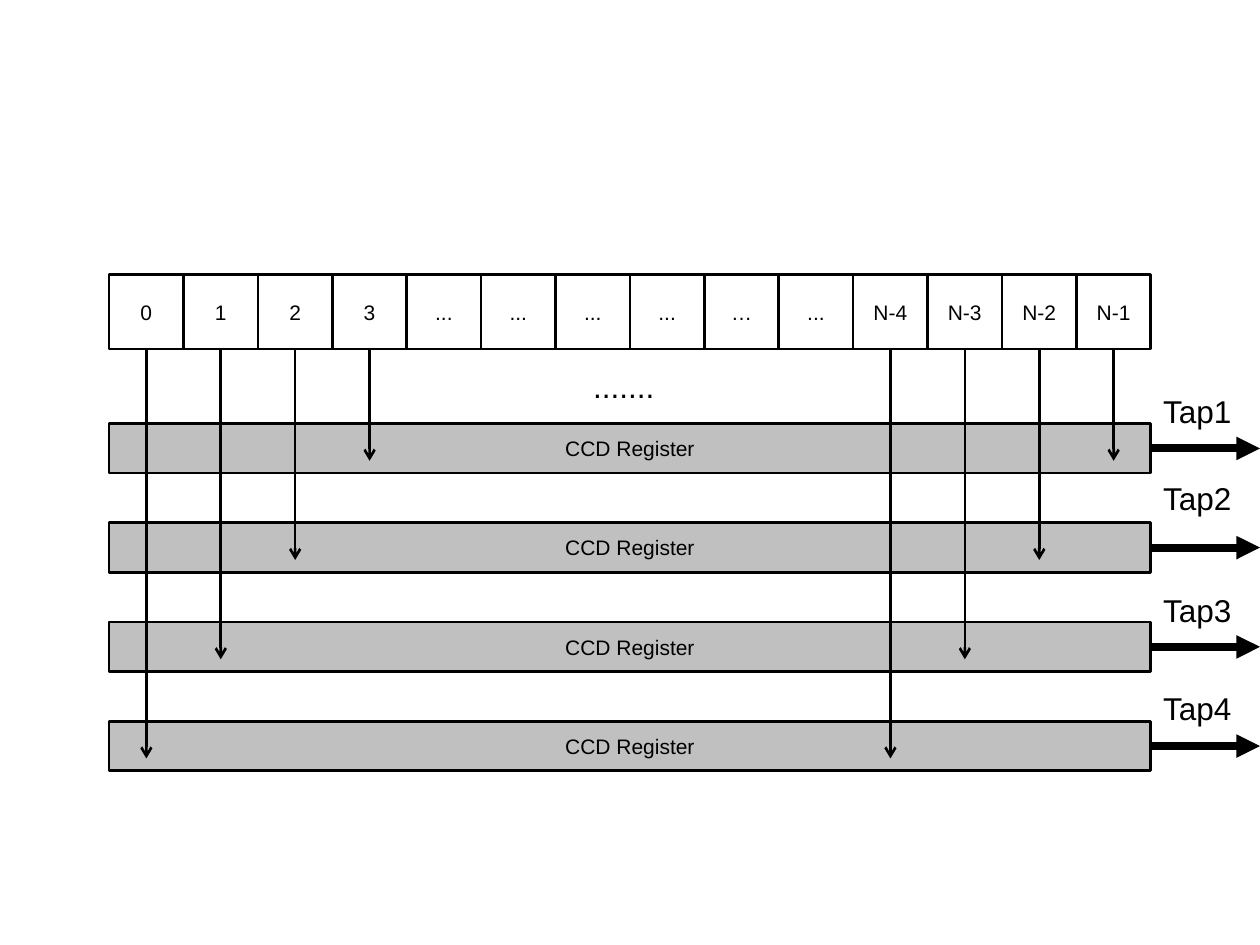
"""Build a slide of a four-tap CCD line sensor and its registers."""
from dataclasses import dataclass

from lxml import etree
from pptx import Presentation
from pptx.dml.color import RGBColor
from pptx.enum import shapes as kinds, text as modes
from pptx.oxml import ns
from pptx.util import Cm, Pt


@dataclass
class Theme:
    ink: RGBColor = RGBColor(0, 0, 0)
    gray: RGBColor = RGBColor(0xC0, 0xC0, 0xC0)
    font: str = "Arial"
    small: Pt = Pt(12)
    large: Pt = Pt(18)
    thin: Pt = Pt(1.5)
    thick: Pt = Pt(4.5)


theme = Theme()
deck = Presentation()
deck.slide_width, deck.slide_height = Cm(25.4), Cm(19.05)
slide = deck.slides.add_slide(deck.slide_layouts[6])
items = slide.shapes

left, top, cell = 2.2, 5.54, 1.5
labels = ["0", "1", "2", "3", "...", "...", "...", "...", "…", "...",
          "N-4", "N-3", "N-2", "N-1"]
wide = cell * len(labels)
right = left + wide
first, pitch, high = 8.54, 2, 1


def write(shape, words, size):
    frame = shape.text_frame
    frame.text = words
    font = frame.paragraphs[0].runs[0].font
    font.name, font.size = theme.font, size
    font.color.rgb = theme.ink
    return frame


def arrow(start, site, x, y, width, head):
    line = items.add_connector(kinds.MSO_CONNECTOR.STRAIGHT, 0, 0, Cm(x), Cm(y))
    line.begin_connect(start, site)
    line.line.color.rgb = theme.ink
    line.line.width = width
    tail = etree.SubElement(line.line._get_or_add_ln(), ns.qn("a:tailEnd"))
    tail.set("type", head)
    etree.SubElement(line._element.spPr, ns.qn("a:effectLst"))


boxes = [("CCD Register", left, first + row * pitch, wide, high, theme.gray)
         for row in range(4)]
boxes += [(label, left + col * cell, top, cell, cell, None)
          for col, label in enumerate(labels)]
made = []
for label, x, y, w, h, fill in boxes:
    box = items.add_shape(kinds.MSO_SHAPE.RECTANGLE, Cm(x), Cm(y), Cm(w), Cm(h))
    box.shadow.inherit = False
    if fill is None:
        box.fill.background()
    else:
        box.fill.solid()
        box.fill.fore_color.rgb = fill
    box.line.color.rgb = theme.ink
    box.line.width = theme.thin
    frame = write(box, label, theme.small)
    frame.word_wrap = False
    frame.vertical_anchor = modes.MSO_ANCHOR.MIDDLE
    frame.paragraphs[0].alignment = modes.PP_ALIGN.CENTER
    made.append(box)
bars, cells = made[:4], made[4:]

for group in (0, 10):
    for step in range(4):
        col, row = group + step, 3 - step
        arrow(cells[col], 2, left + (col + 0.5) * cell,
              first + row * pitch + 0.75, theme.thin, "arrow")

for row, (bar, y) in enumerate(zip(bars, [7.77, 9.53, 11.79, 13.77])):
    arrow(bar, 3, 25.4, first + row * pitch + high / 2, theme.thick, "triangle")
    tap = items.add_textbox(Cm(right), Cm(y), Cm(2.2), Cm(1.02))
    frame = write(tap, f"Tap{row + 1}", theme.large)
    frame.word_wrap = True
    frame.paragraphs[0].space_before = Pt(11.2)

dots = items.add_textbox(Cm(11.71), Cm(7.27), Cm(1.75), Cm(1.02))
write(dots, ".......", theme.large).word_wrap = True

deck.save("out.pptx")
